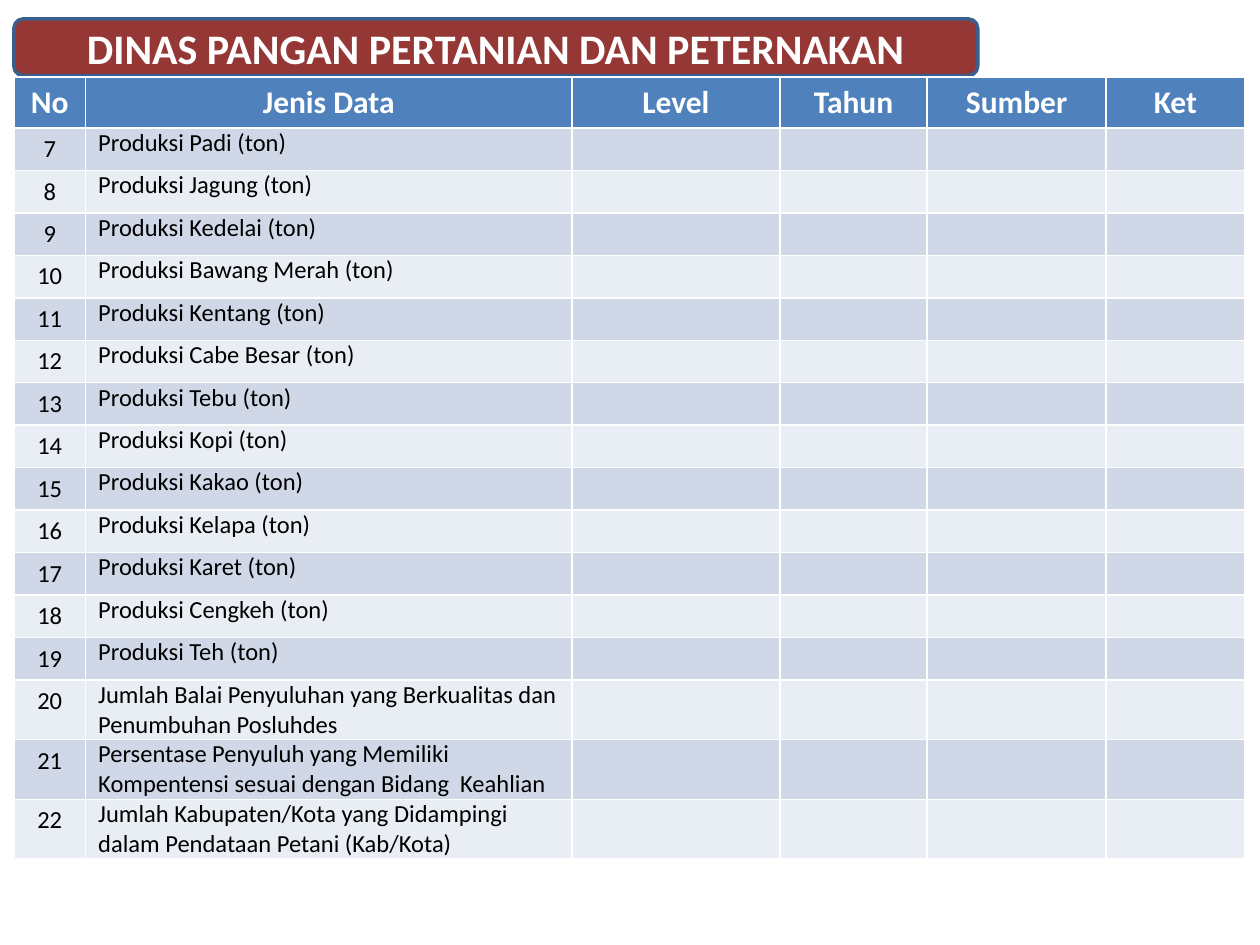
from dataclasses import dataclass

from pptx import Presentation
from pptx.dml.color import RGBColor
from pptx.enum.shapes import MSO_SHAPE
from pptx.enum.text import MSO_ANCHOR, MSO_AUTO_SIZE, PP_ALIGN
from pptx.oxml.xmlchemy import OxmlElement
from pptx.util import Inches, Pt


@dataclass(frozen=True)
class Theme:
    font: str = "Calibri"
    white: str = "FFFFFF"
    black: str = "000000"
    bar: str = "953735"
    edge: str = "3A5F8C"
    head: str = "4F81BD"
    bands: tuple = ("D0D8E8", "E9EDF4")
    title_size: int = 24
    head_size: int = 18
    body_size: int = 14


TITLE = "DINAS PANGAN PERTANIAN DAN PETERNAKAN"
HEADS = ["No", "Jenis Data", "Level", "Tahun", "Sumber", "Ket"]
WIDTHS = [0.57, 3.86, 1.65, 1.17, 1.42, 1.1]
FIRST = 7
CROPS = ["Padi", "Jagung", "Kedelai", "Bawang Merah", "Kentang", "Cabe Besar",
         "Tebu", "Kopi", "Kakao", "Kelapa", "Karet", "Cengkeh", "Teh"]
OTHERS = [
    "Jumlah Balai Penyuluhan yang Berkualitas dan Penumbuhan Posluhdes",
    "Persentase Penyuluh yang Memiliki Kompentensi sesuai dengan Bidang  Keahlian",
    "Jumlah Kabupaten/Kota yang Didampingi dalam Pendataan Petani (Kab/Kota)",
]


def write(frame, text, font, size, color, bold=False, align=PP_ALIGN.LEFT):
    """Put one formatted paragraph in a text frame."""
    para = frame.paragraphs[0]
    para.alignment = align
    run = para.add_run()
    run.text = text
    run.font.name = font
    run.font.size = Pt(size)
    run.font.bold = bold
    run.font.color.rgb = RGBColor.from_string(color)


def paint(item, color):
    item.fill.solid()
    item.fill.fore_color.rgb = RGBColor.from_string(color)


class Deck:
    def __init__(self, theme):
        self.theme = theme
        self.prs = Presentation()
        self.prs.slide_width, self.prs.slide_height = Inches(10), Inches(7.5)
        self.slide = self.prs.slides.add_slide(self.prs.slide_layouts[5])

    def title(self, text, left, top, width, height):
        style = self.theme
        box = [Inches(n) for n in (left, top, width, height)]
        # Rounded bar
        bar = self.slide.shapes.add_shape(MSO_SHAPE.ROUNDED_RECTANGLE, *box)
        bar.shadow.inherit = False
        paint(bar, style.bar)
        bar.line.color.rgb = RGBColor.from_string(style.edge)
        bar.line.width = Pt(2)
        # Title placeholder, brought in front of the bar
        title = self.slide.shapes.title
        title.left, title.top, title.width, title.height = box
        bar.element.addnext(title.element)
        frame = title.text_frame
        frame.auto_size = MSO_AUTO_SIZE.NONE
        frame.word_wrap = True
        frame.vertical_anchor = MSO_ANCHOR.MIDDLE
        write(frame, text, style.font, style.title_size, style.white,
              bold=True, align=PP_ALIGN.CENTER)

    def cell(self, cell, text, fill, size, color, **form):
        paint(cell, fill)
        if text:
            write(cell.text_frame, text, self.theme.font, size, color, **form)
        else:
            # An empty cell needs its own type size to keep the row low
            end = OxmlElement("a:endParaRPr")
            end.set("sz", str(size * 100))
            cell.text_frame.paragraphs[0]._p.append(end)

    def table(self, heads, labels, widths, left, top, head_height, row_height):
        style = self.theme
        height = head_height + row_height * len(labels)
        table = self.slide.shapes.add_table(
            len(labels) + 1, len(heads), Inches(left), Inches(top),
            Inches(sum(widths)), Inches(height)).table
        for col, width in zip(table.columns, widths):
            col.width = Inches(width)
        for row in table.rows:
            row.height = Inches(row_height)
        table.rows[0].height = Inches(head_height)
        # Header row
        for col, text in enumerate(heads):
            self.cell(table.cell(0, col), text, style.head, style.head_size,
                      style.white, bold=True, align=PP_ALIGN.CENTER)
        # Numbered rows in two alternating bands
        for row, label in enumerate(labels, 1):
            texts = [str(FIRST + row - 1), label] + [""] * (len(heads) - 2)
            for col, text in enumerate(texts):
                align = PP_ALIGN.LEFT if col else PP_ALIGN.CENTER
                self.cell(table.cell(row, col), text, style.bands[(row - 1) % 2],
                          style.body_size, style.black, align=align)
            name = table.cell(row, 1)
            name.margin_left = Inches(0.1)
            name.margin_top = name.margin_right = name.margin_bottom = 0
            if label in OTHERS:
                name.vertical_anchor = MSO_ANCHOR.MIDDLE


def main():
    deck = Deck(Theme())
    deck.title(TITLE, 0.11, 0.15, 7.65, 0.45)
    labels = [f"Produksi {crop} (ton)" for crop in CROPS] + OTHERS
    deck.table(HEADS, labels, WIDTHS, 0.11, 0.61, 0.36, 0.33)
    deck.prs.save("out.pptx")


if __name__ == "__main__":
    main()
